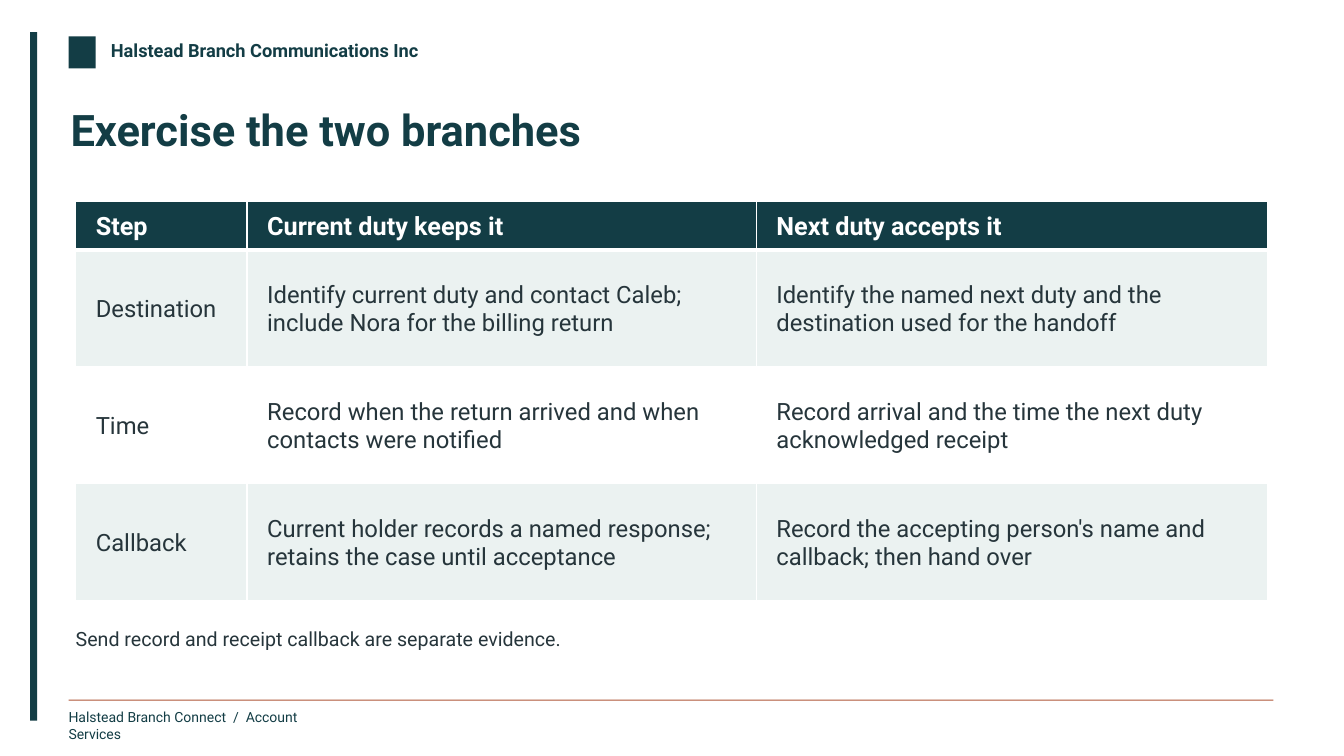
"""Build the slide that compares the two duty branches step by step."""
from lxml import etree
from pptx import Presentation
from pptx.dml.color import RGBColor
from pptx.enum.shapes import MSO_SHAPE
from pptx.enum.text import MSO_ANCHOR
from pptx.oxml.ns import qn
from pptx.util import Inches, Pt

RECT = MSO_SHAPE.RECTANGLE
MIDDLE = MSO_ANCHOR.MIDDLE
TEAL, RUST, INK, PALE, WHITE = "133D45", "AF5636", "26353B", "EBF2F1", "FFFFFF"


def paint(fill, color):
    fill.solid()
    fill.fore_color.rgb = RGBColor.from_string(color)


def write(frame, text, size, color, bold=False):
    frame.text = text
    font = frame.paragraphs[0].runs[0].font
    font.name, font.size, font.bold = "Roboto", Pt(size), bold
    paint(font.fill, color)


deck = Presentation()
deck.slide_width, deck.slide_height = Inches(13.33), Inches(7.5)
slide = deck.slides.add_slide(deck.slide_layouts[6])

bars = [
    (0.3, 0.32, 0.07, 6.83, TEAL),
    (0.68, 0.36, 0.27, 0.32, TEAL),
    (0.68, 6.94, 11.95, 0.01, RUST),
]
for left, top, width, height, color in bars:
    bar = slide.shapes.add_shape(
        RECT, Inches(left), Inches(top), Inches(width), Inches(height))
    bar.shadow.inherit = False
    bar.line.fill.background()
    paint(bar.fill, color)

texts = [
    (1.1, 0.39, 3.55, 0.27, "Halstead Branch Communications Inc", 13, TEAL, True, False),
    (0.7, 1.02, 11.9, 0.86, "Exercise the two branches", 31, TEAL, True, True),
    (0.75, 6.22, 11.82, 0.44, "Send record and receipt callback are separate evidence.",
     14, INK, False, True),
    (0.68, 7.03, 2.6, 0.23, "Halstead Branch Connect  /  Account Services",
     10, TEAL, False, False),
]
for left, top, width, height, text, size, color, bold, wrap in texts:
    box = slide.shapes.add_textbox(
        Inches(left), Inches(top), Inches(width), Inches(height))
    frame = box.text_frame
    frame.margin_left = frame.margin_right = 0
    frame.margin_top = frame.margin_bottom = 0
    frame.word_wrap = wrap
    write(frame, text, size, color, bold)

rows = [
    ("Step", "Current duty keeps it", "Next duty accepts it"),
    ("Destination",
     "Identify current duty and contact Caleb; include Nora for the billing return",
     "Identify the named next duty and the destination used for the handoff"),
    ("Time",
     "Record when the return arrived and when contacts were notified",
     "Record arrival and the time the next duty acknowledged receipt"),
    ("Callback",
     "Current holder records a named response; retains the case until acceptance",
     "Record the accepting person's name and callback; then hand over"),
]
table = slide.shapes.add_table(
    len(rows), 3, Inches(0.75), Inches(2), Inches(11.82), Inches(3.96)).table
for column, width in zip(table.columns, (1.7, 5.05, 5.07)):
    column.width = Inches(width)

for r, row in enumerate(rows):
    head = r == 0
    table.rows[r].height = Inches(0.48 if head else 1.16)
    for c, text in enumerate(row):
        cell = table.cell(r, c)
        cell.vertical_anchor = MIDDLE
        cell.margin_left, cell.margin_right = Inches(0.2), Inches(0.12)
        cell.margin_top, cell.margin_bottom = Inches(0.07), Inches(0.05)
        props = cell._tc.get_or_add_tcPr()
        for side in ("lnL", "lnR", "lnT", "lnB"):
            thick = (head and side == "lnB") or (r == 1 and side == "lnT")
            edge = etree.SubElement(props, qn("a:" + side), w=str(Pt(3 if thick else 1)))
            solid = etree.SubElement(edge, qn("a:solidFill"))
            etree.SubElement(solid, qn("a:srgbClr"), val=WHITE)
        paint(cell.fill, TEAL if head else PALE if r % 2 else WHITE)
        write(cell.text_frame, text, 18 if head else 17, WHITE if head else INK, head)

deck.save("out.pptx")
